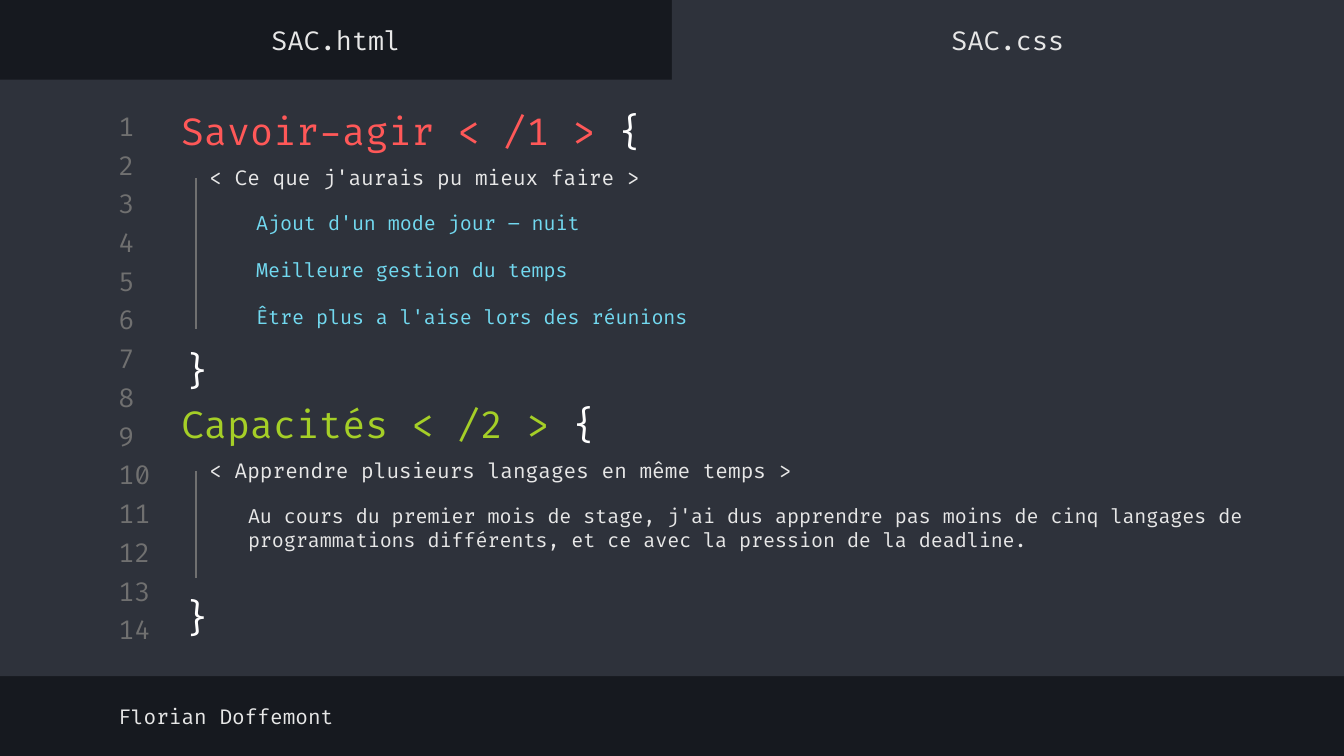
from lxml import etree
from pptx import Presentation
from pptx.dml.color import RGBColor
from pptx.enum.shapes import MSO_CONNECTOR, MSO_SHAPE
from pptx.enum.text import MSO_ANCHOR, PP_ALIGN
from pptx.oxml.ns import qn
from pptx.util import Pt

RECTANGLE = MSO_SHAPE.RECTANGLE
STRAIGHT = MSO_CONNECTOR.STRAIGHT
TOP, MIDDLE = MSO_ANCHOR.TOP, MSO_ANCHOR.MIDDLE
LEFT, CENTER = PP_ALIGN.LEFT, PP_ALIGN.CENTER

FONT = "Fira Code"
DARK = RGBColor(0x16, 0x19, 0x1F)
PANEL = RGBColor(0x2E, 0x32, 0x3B)
GRAY = RGBColor(0x70, 0x70, 0x70)
LIGHT = RGBColor(0xE7, 0xE7, 0xE7)
WHITE = RGBColor(0xFF, 0xFF, 0xFF)
RED = RGBColor(0xFF, 0x58, 0x58)
GREEN = RGBColor(0xA5, 0xCF, 0x27)
CYAN = RGBColor(0x72, 0xD9, 0xF0)

WIDTH, HEIGHT = 720, 405
HALF = WIDTH / 2
INSET = 7.2
LINE_COUNT = 14
LINE_PITCH = 20.75
CODE_LEFT = 90
GUIDE_LEFT = 105.1


def add_panel(slide, left, top, width, height):
    panel = slide.shapes.add_shape(RECTANGLE, Pt(left), Pt(top), Pt(width), Pt(height))
    panel.shadow.inherit = False
    panel.fill.solid()
    panel.fill.fore_color.rgb = PANEL
    panel.line.fill.background()


def add_text(shapes, box, lines, size, color, align=LEFT, anchor=MIDDLE,
             vertical_inset=INSET, gap=0):
    """Add a text box with one paragraph per line and return its paragraphs."""
    left, top, width, height = box
    shape = shapes.add_textbox(Pt(left), Pt(top), Pt(width), Pt(height))
    frame = shape.text_frame
    frame.word_wrap = True
    frame.vertical_anchor = anchor
    frame.margin_left = frame.margin_right = Pt(INSET)
    frame.margin_top = frame.margin_bottom = Pt(vertical_inset)
    frame.text = "\n".join(lines)
    for index, paragraph in enumerate(frame.paragraphs):
        paragraph.alignment = align
        if index:
            paragraph.space_before = Pt(gap)
        paragraph.font.name = FONT
        paragraph.font.size = Pt(size)
        paragraph.font.color.rgb = color
    return frame.paragraphs


def add_heading(slide, top, text, color):
    box = (CODE_LEFT, top, 380, 41.8)
    paragraph = add_text(slide.shapes, box, [text], 20, color)[0]
    brace = paragraph.add_run()
    brace.text = " {"
    brace.font.color.rgb = WHITE


def add_closing(slide, guide_top, guide_bottom, brace_top):
    """Group the vertical guide of a code block with its closing brace."""
    group = slide.shapes.add_group_shape()
    guide = group.shapes.add_connector(
        STRAIGHT, Pt(GUIDE_LEFT), Pt(guide_top), Pt(GUIDE_LEFT), Pt(guide_bottom))
    guide.line.color.rgb = GRAY
    guide.line.width = Pt(0.75)
    etree.SubElement(guide._element.spPr, qn("a:effectLst"))
    add_text(group.shapes, (85.7, brace_top, 39.6, 38.9), ["}"], 20, WHITE, CENTER, TOP)


def main():
    presentation = Presentation()
    presentation.slide_width, presentation.slide_height = Pt(WIDTH), Pt(HEIGHT)
    slide = presentation.slides.add_slide(presentation.slide_layouts[6])
    shapes = slide.shapes

    # Editor window: background, code area and active tab
    slide.background.fill.solid()
    slide.background.fill.fore_color.rgb = DARK
    add_panel(slide, 0, 42.6, WIDTH, 319.6)
    add_panel(slide, HALF, 0, HALF, 46.8)

    # Tab names and footer
    for index, name in enumerate(["SAC.html", "SAC.css"]):
        add_text(shapes, (index * HALF, 7.4, HALF, 28.1), [name], 14, LIGHT, CENTER)
    add_text(shapes, (56.3, 369.5, 383, 28.1), ["Florian Doffemont"], 11, LIGHT)

    # Line numbers
    for index in range(LINE_COUNT):
        box = (56.3, 58.8 + index * LINE_PITCH, 33.8, 17.3)
        add_text(shapes, box, [str(index + 1)], 14, GRAY)

    # First code block
    add_heading(slide, 49.2, "Savoir-agir < /1 >", RED)
    add_text(shapes, (GUIDE_LEFT, 64.2, 598, 61.9),
             ["< Ce que j'aurais pu mieux faire >"], 11, LIGHT)
    add_text(shapes, (130.2, 109.4, 360, 70.6),
             ["Ajout d'un mode jour – nuit",
              "Meilleure gestion du temps",
              "Être plus a l'aise lors des réunions"],
             10.5, CYAN, anchor=TOP, vertical_inset=3.6, gap=12.6)
    add_closing(slide, 95.3, 176.4, 178.6)

    # Second code block
    add_heading(slide, 205.8, "Capacités < /2 >", GREEN)
    add_text(shapes, (GUIDE_LEFT, 221.2, 405, 61.9),
             ["< Apprendre plusieurs langages en même temps >"], 11, LIGHT)
    add_text(shapes, (125.8, 266.6, 580.3, 32.4),
             ["Au cours du premier mois de stage, j'ai dus apprendre pas moins de cinq "
              "langages de programmations différents, et ce avec la pression de la deadline."],
             10.5, LIGHT, anchor=TOP, vertical_inset=3.6)
    add_closing(slide, 252.2, 309.6, 311.2)

    presentation.save("out.pptx")


if __name__ == "__main__":
    main()
